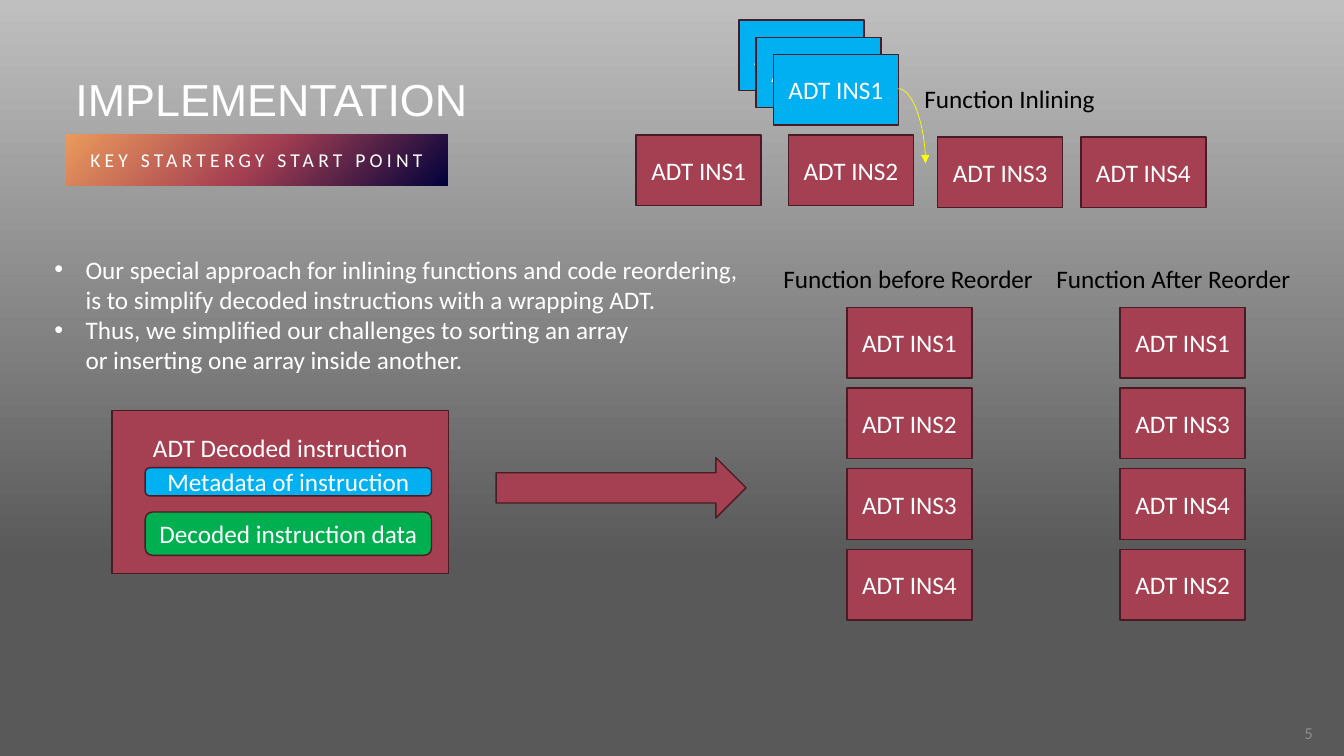
from pptx import Presentation
from pptx.dml.color import RGBColor
from pptx.enum.shapes import MSO_CONNECTOR, MSO_SHAPE
from pptx.enum.text import MSO_ANCHOR, PP_ALIGN
from pptx.oxml import parse_xml
from pptx.oxml.ns import nsdecls, qn
from pptx.util import Inches, Pt

RECT, ROUND, ARROW = MSO_SHAPE.RECTANGLE, MSO_SHAPE.ROUNDED_RECTANGLE, MSO_SHAPE.RIGHT_ARROW
CURVE = MSO_CONNECTOR.CURVE
TOP, MIDDLE = MSO_ANCHOR.TOP, MSO_ANCHOR.MIDDLE
LEFT, CENTER, RIGHT = PP_ALIGN.LEFT, PP_ALIGN.CENTER, PP_ALIGN.RIGHT
COLORS = {
    "white": "FFFFFF", "black": "000000", "number": "8C8C8C",
    "wine": "A53F52", "edge": "481C24", "metadata": "00B0F0", "data": "00B050",
    "arrow": "FFFF00", "sky": "BFBFBF", "ground": "595959",
    "navy": "01023B", "orange": "EA9A5C",
}
CARD_W, CARD_H = 1.24, 0.7
BULLET_INDENT = 0.31


def rgb(name):
    """Return the named colour."""
    return RGBColor.from_string(COLORS[name])


def write(frame, paragraphs, color="white", size=18, font="Calibri", align=LEFT, **frame_format):
    """Fill a text frame with paragraphs in one style."""
    for attribute, value in {"word_wrap": True, "vertical_anchor": TOP, **frame_format}.items():
        setattr(frame, attribute, value)
    for index, wording in enumerate(paragraphs):
        paragraph = frame.add_paragraph() if index else frame.paragraphs[0]
        paragraph.text = wording
        paragraph.alignment = align
        for run in paragraph.runs:
            for attribute, value in {"size": Pt(size), "name": font}.items():
                setattr(run.font, attribute, value)
            run.font.color.rgb = rgb(color)


def add_label(slide, box, *paragraphs, **style):
    """Place plain text in the box."""
    label = slide.shapes.add_textbox(*map(Inches, box))
    write(label.text_frame, paragraphs, **style)
    return label


def add_block(slide, box, wording="", fill="wine", outline=RECT, **style):
    """Place a filled block with centred text in the box."""
    block = slide.shapes.add_shape(outline, *map(Inches, box))
    block.shadow.inherit = False
    block.fill.solid()
    block.fill.fore_color.rgb = rgb(fill)
    block.line.color.rgb = rgb("edge")
    block.line.width = Pt(1)
    if wording:
        write(block.text_frame, [wording], **{"align": CENTER, "vertical_anchor": MIDDLE, **style})
    return block


def paint_background(slide):
    """Shade the slide from light to dark grey, top to bottom."""
    fill = slide.background.fill
    fill.gradient()
    fill.gradient_angle = 270
    for stop, (position, color) in zip(fill.gradient_stops, ((0, "sky"), (0.74, "ground"))):
        stop.position = position
        stop.color.rgb = rgb(color)


def add_heading(slide, box):
    """Place the title with its gradient subtitle badge below."""
    left, top, width, height = box
    add_label(slide, box, "IMPLEMENTATION", size=32, font="Arial", vertical_anchor=MIDDLE)
    title = slide.shapes[-1].text_frame.paragraphs[0]
    title.line_spacing = 1.5
    badge = add_block(slide, (left, top + height, 3.79, 0.51), "KEY STARTERGY START POINT", size=14)
    badge.line.fill.background()
    badge.text_frame.paragraphs[0].runs[0].font._element.set("spc", "300")
    stops = "".join(
        f'<a:gs pos="{share * 1000}"><a:srgbClr val="{COLORS[color]}"/></a:gs>'
        for share, color in ((0, "navy"), (50, "wine"), (100, "orange")))
    gradient = parse_xml(
        f'<a:gradFill {nsdecls("a")} rotWithShape="1"><a:gsLst>{stops}</a:gsLst>'
        '<a:path path="circle"><a:fillToRect l="100000" t="100000"/></a:path></a:gradFill>')
    properties = badge._element.spPr
    properties.replace(properties.find(qn("a:solidFill")), gradient)


def add_bullets(slide, box):
    """Place the two points of the approach."""
    points = add_label(
        slide, box,
        "Our special approach for inlining functions and code reordering,\v"
        "is to simplify decoded instructions with a wrapping ADT.",
        "Thus, we simplified our challenges to sorting an array\v"
        "or inserting one array inside another.", word_wrap=False)
    for paragraph in points.text_frame.paragraphs:
        properties = paragraph._p.get_or_add_pPr()
        properties.set("marL", str(Inches(BULLET_INDENT)))
        properties.set("indent", str(-Inches(BULLET_INDENT)))
        properties.append(parse_xml(f'<a:buFont {nsdecls("a")} typeface="Arial"/>'))
        properties.append(parse_xml(f'<a:buChar {nsdecls("a")} char="•"/>'))


def add_decoded_instruction(slide, box):
    """Place the ADT wrapper with its data and metadata, and the arrow beside it."""
    left, top, width, height = box
    add_block(slide, box, "ADT Decoded instruction", vertical_anchor=TOP, margin_top=Inches(0.22))
    parts = ((1.01, 0.43, "Decoded instruction data", "data"),
             (0.57, 0.28, "Metadata of instruction", "metadata"))
    for offset, part_height, wording, fill in parts:
        add_block(slide, (left + 0.33, top + offset, 2.84, part_height), wording, fill, ROUND)
    add_block(slide, (left + width + 0.47, top + 0.47, 2.48, 0.6), outline=ARROW)


def add_function(slide, box, heading, heading_box, order):
    """Stack the instructions of one function in equal rows under its heading."""
    left, top, width, height = box
    pitch = (height - CARD_H) / (len(order) - 1)
    for row, number in enumerate(order):
        add_block(slide, (left, top + row * pitch, width, CARD_H), f"ADT INS{number}")
    add_label(slide, heading_box, heading, color="black", word_wrap=False)


def add_inlining(slide, box):
    """Place the instruction row, the stack to be inlined and the curved arrow."""
    left, top, width, height = box
    row_top = top + height - CARD_H
    places = ((0, -0.02), (1.51, -0.02), (2.99, 0), (4.41, 0))
    for number, (across, down) in enumerate(places, 1):
        add_block(slide, (left + across, row_top + down, CARD_W, CARD_H), f"ADT INS{number}")
    for layer in range(3):
        shift = layer * 0.17
        add_block(slide, (left + 1.02 + shift, top + shift, CARD_W, CARD_H), "ADT INS1", "metadata")
    ends = (left + 2.6, top + 0.68, left + 2.87, top + 1.42)
    curve = slide.shapes.add_connector(CURVE, *map(Inches, ends))
    curve.line.color.rgb = rgb("arrow")
    curve.line.width = Pt(0.5)
    properties = curve._element.spPr
    properties.find(qn("a:prstGeom")).set("prst", "curvedConnector2")
    properties.find(qn("a:ln")).append(parse_xml(f'<a:tailEnd {nsdecls("a")} type="triangle"/>'))
    properties.append(parse_xml(f'<a:effectLst {nsdecls("a")}/>'))
    add_label(slide, (left + 2.76, top + 0.58, 1.91, 0.4), "Function Inlining",
              color="black", word_wrap=False)


def main():
    """Build and save the slide."""
    deck = Presentation()
    deck.slide_width, deck.slide_height = Inches(13.33), Inches(7.5)
    slide = deck.slides.add_slide(deck.slide_layouts[6])
    paint_background(slide)
    add_heading(slide, (0.65, 0.36, 6.45, 0.97))
    add_label(slide, (12.63, 7.07, 0.49, 0.4), "5", color="number", size=12,
              align=RIGHT, vertical_anchor=MIDDLE)
    add_bullets(slide, (0.44, 2.47, 7.07, 1.31))
    add_decoded_instruction(slide, (1.11, 4.07, 3.34, 1.62))
    add_function(slide, (8.4, 3.05, CARD_W, 3.1), "Function before Reorder",
                 (7.67, 2.56, 2.71, 0.4), (1, 2, 3, 4))
    add_function(slide, (11.11, 3.05, CARD_W, 3.1), "Function After Reorder",
                 (10.38, 2.56, 2.56, 0.4), (1, 3, 4, 2))
    add_inlining(slide, (6.31, 0.2, 5.65, 1.86))
    deck.save("out.pptx")


if __name__ == "__main__":
    main()
